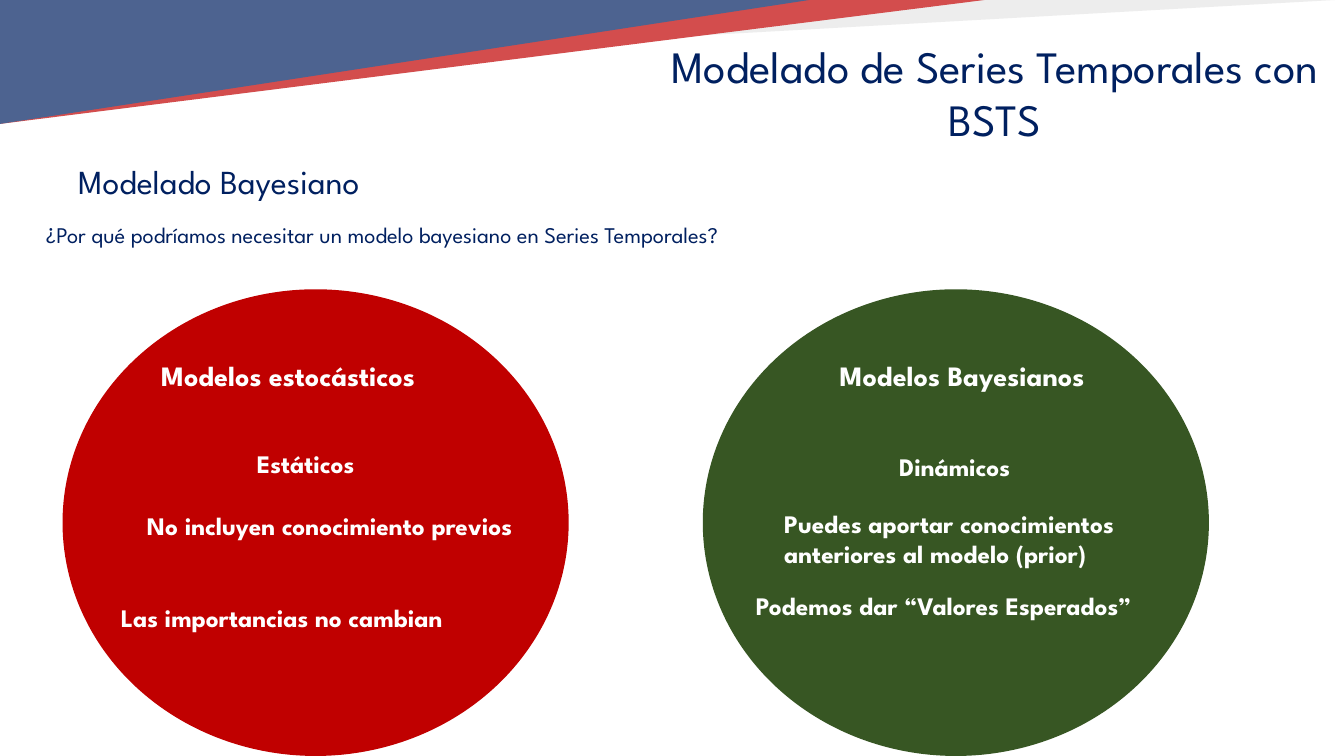
from pptx import Presentation
from pptx import util as u
from pptx.dml.color import RGBColor
from pptx.enum import shapes, text
from pptx.oxml.ns import qn
from lxml import etree

PX = 9144
NAVY, RED, GREEN, GREY, WHITE = "002060", "C00000", "375623", "E6E6E6", "FFFFFF"
FONT = "League Spartan"

WEDGES = [(1325, 74, GREY), (977, 123, RED), (803, 123, NAVY)]
VEIL_HEIGHT, VEIL_ALPHA = 145, 30
CIRCLE_TOP, CIRCLE_SIZE = 287, (502, 463)
CIRCLES = [(62, RED), (697, GREEN)]

HEADINGS = [
    ("Modelado Bayesiano", (-42, 155, 518, 50), 24, True),
    ("Modelado de Series Temporales con BSTS", (627, 33, 720, 118), 32, True),
    ("¿Por qué podríamos necesitar un modelo bayesiano en Series Temporales?",
     (36, 214, 1161, 37), 16, False),
]
LABELS = [
    ("Modelos estocásticos", (150, 351, 320, 44), 20),
    ("Modelos Bayesianos", (823, 351, 371, 44), 20),
    ("Estáticos", (245, 440, 130, 40), 18),
    ("No incluyen conocimiento previos", (136, 501, 424, 71), 18),
    ("Las importancias no cambian", (110, 593, 407, 40), 18),
    ("Dinámicos", (882, 443, 152, 40), 18),
    ("Puedes aportar conocimientos anteriores al modelo (prior)", (768, 499, 437, 71), 18),
    ("Podemos dar “Valores Esperados”", (740, 581, 437, 40), 18),
]

prs = Presentation()
prs.slide_width, prs.slide_height = 1333 * PX, 750 * PX
s = prs.slides.add_slide(prs.slide_layouts[6])


def rgb(color):
    return RGBColor.from_string(color)


def emu(box):
    return [v * PX for v in box]


def add_shape(kind, box, color):
    sp = s.shapes.add_shape(kind, *emu(box))
    sp.shadow.inherit = False
    sp.fill.solid()
    sp.fill.fore_color.rgb = rgb(color)
    sp.line.fill.background()
    return sp


def add_text(words, box, size, color, bold=False, centered=False):
    tf = s.shapes.add_textbox(*emu(box)).text_frame
    tf.word_wrap = True
    tf.auto_size = text.MSO_AUTO_SIZE.SHAPE_TO_FIT_TEXT
    p = tf.paragraphs[0]
    p.text = words
    p.alignment = text.PP_ALIGN.CENTER if centered else text.PP_ALIGN.LEFT
    p.font.name, p.font.size, p.font.bold = FONT, u.Pt(size), bold
    p.font.color.rgb = rgb(color)


for width, height, color in WEDGES:
    wedge = add_shape(shapes.MSO_SHAPE.ISOSCELES_TRIANGLE, (0, 0, width, height), color)
    wedge.adjustments[0] = 0
    wedge._element.spPr.find(qn("a:xfrm")).set("flipV", "1")

veil = add_shape(shapes.MSO_SHAPE.RECTANGLE, (0, 0, 1333, VEIL_HEIGHT), WHITE)
veil_color = veil._element.spPr.find(qn("a:solidFill")).find(qn("a:srgbClr"))
etree.SubElement(veil_color, qn("a:alpha")).set("val", str(VEIL_ALPHA * 1000))

for left, color in CIRCLES:
    add_shape(shapes.MSO_SHAPE.OVAL, (left, CIRCLE_TOP, *CIRCLE_SIZE), color)

for words, box, size, centered in HEADINGS:
    add_text(words, box, size, NAVY, centered=centered)
for words, box, size in LABELS:
    add_text(words, box, size, WHITE, bold=True)

prs.save("out.pptx")
